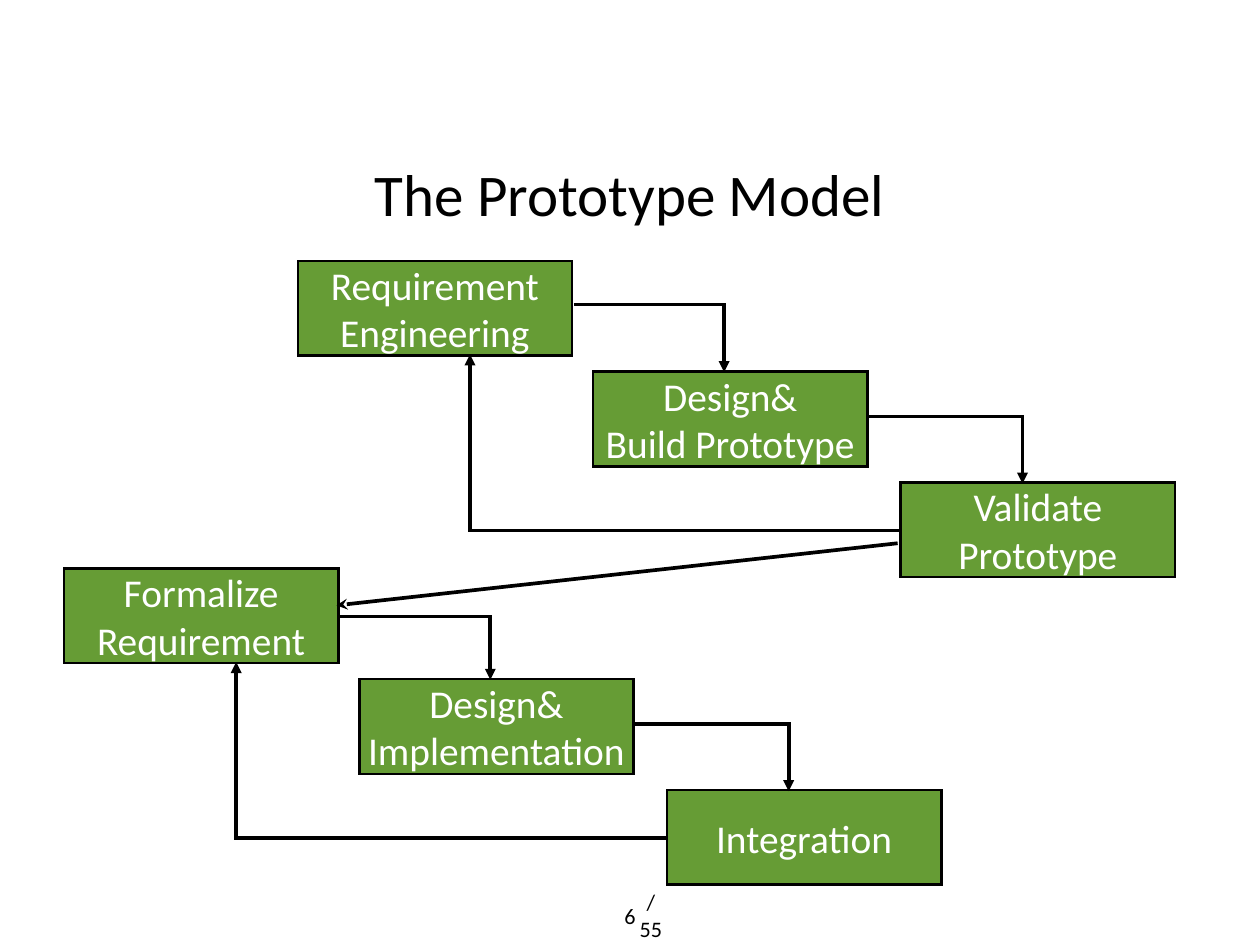
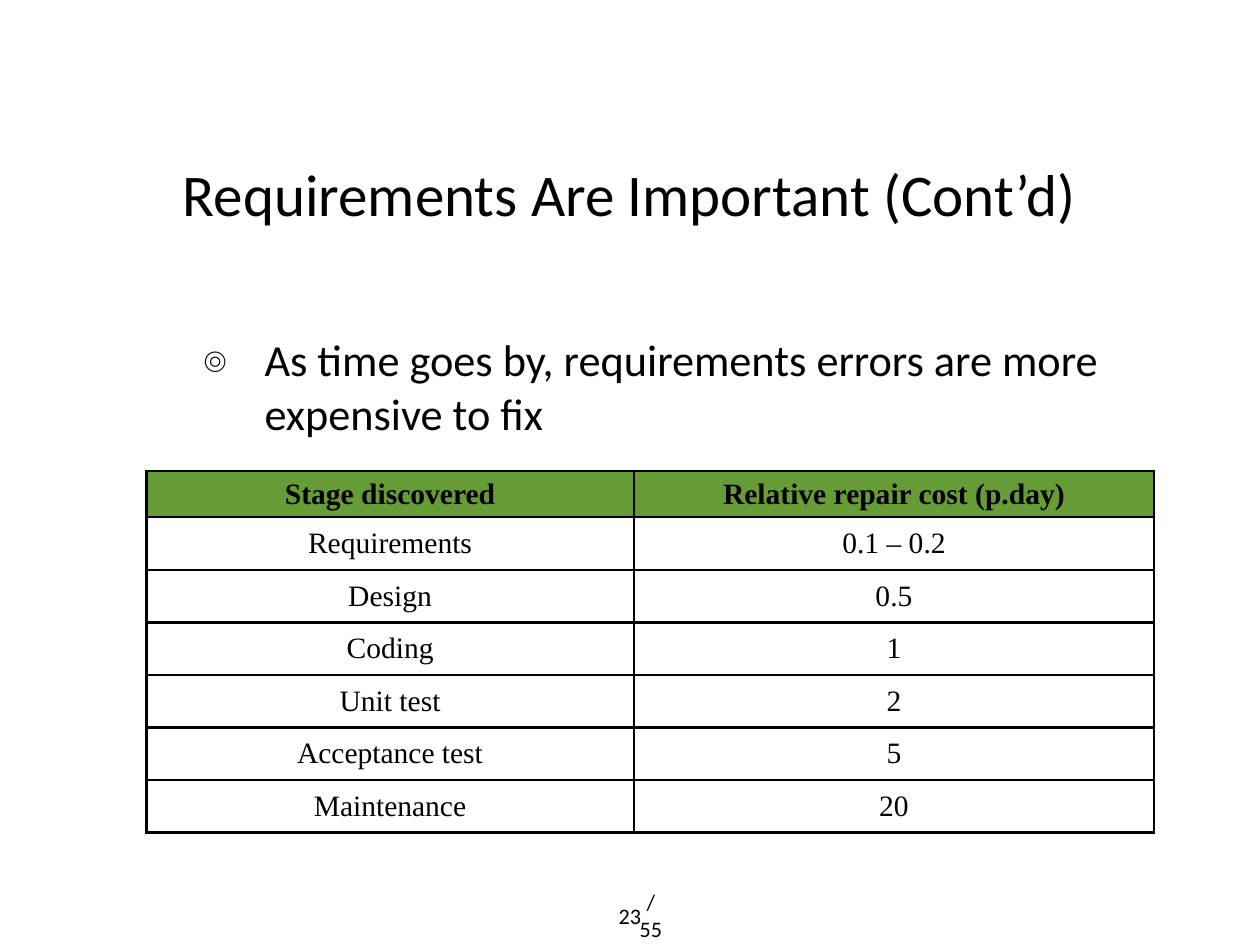
from dataclasses import dataclass

from lxml.etree import SubElement
from pptx import Presentation
from pptx.dml.color import RGBColor
from pptx.enum.shapes import MSO_CONNECTOR, MSO_SHAPE
from pptx.enum.text import MSO_ANCHOR, MSO_AUTO_SIZE, PP_ALIGN
from pptx.oxml import parse_xml
from pptx.oxml.ns import nsdecls, qn
from pptx.util import Pt

BLACK, WHITE, GREEN = "000000", "FFFFFF", "669C35"
SANS, SERIF = "Calibri", "Times New Roman"
INSET = Pt(4)
STAGE_SIZE = (223, 77)
STAGE_OFFSETS = ((0, 0), (240, 90), (490, 180))
PAGE_TOTAL = "/55"
REPAIR_COSTS = (
    ("Stage discovered", "Relative repair cost (p.day)"),
    ("Requirements", "0.1 – 0.2"),
    ("Design", "0.5"),
    ("Coding", "1"),
    ("Unit test", "2"),
    ("Acceptance test", "5"),
    ("Maintenance", "20"),
)


@dataclass(frozen=True)
class Phase:
    """Three cascading stages with the position of the first one."""

    left: float
    top: float
    exit_y: float
    stages: tuple[str, str, str]

    def routes(self) -> tuple:
        """Return the two forward routes and the route back."""
        return (
            ((224.5, self.exit_y), (346.5, self.exit_y), (346.5, 90.5)),
            ((464, 126.5), (589, 126.5), (589, 181)),
            ((491, 219), (140, 219), (140, 76)),
        )


PHASES = (
    Phase(242, 212, 35.5, ("Requirement Engineering", "Design&\nBuild Prototype", "Validate Prototype")),
    Phase(52, 462, 39, ("Formalize\nRequirement", "Design&\nImplementation", "Integration")),
)


def color(code: str) -> RGBColor:
    """Turn a hex string into a colour."""
    return RGBColor.from_string(code)


def write(frame, text: str, *, size: float, ink: str = BLACK, font: str = SANS,
          bold: bool = False, align=PP_ALIGN.CENTER, anchor=MSO_ANCHOR.MIDDLE) -> None:
    """Fill a text frame with formatted text."""
    frame.text = text
    frame.word_wrap = True
    frame.auto_size = MSO_AUTO_SIZE.NONE
    frame.vertical_anchor = anchor
    frame.margin_left = frame.margin_right = frame.margin_top = frame.margin_bottom = INSET
    for paragraph in frame.paragraphs:
        paragraph.alignment = align
        for run in paragraph.runs:
            run.font.size, run.font.name, run.font.bold = Pt(size), font, bold
            run.font.color.rgb = color(ink)


def add_label(slide, text: str, left: float, top: float, width: float, height: float, **style):
    """Add a text box and return its frame."""
    frame = slide.shapes.add_textbox(Pt(left), Pt(top), Pt(width), Pt(height)).text_frame
    write(frame, text, **style)
    return frame


def start_slide(deck, heading: str, page: str):
    """Add a slide with its title and page number."""
    slide = deck.slides.add_slide(deck.slide_layouts[5])
    title = slide.shapes.title
    title.left, title.top, title.width, title.height = Pt(100), Pt(76.5), Pt(823.5), Pt(161)
    write(title.text_frame, heading, size=48)
    add_label(slide, PAGE_TOTAL, 513, 729, 32, 29, size=18)
    add_label(slide, page, 497, 729, 30, 29, size=18, anchor=MSO_ANCHOR.TOP)
    return slide


def style_line(line, width: float, **ends: str) -> None:
    """Draw a black mitred line with optional headEnd and tailEnd arrowheads."""
    line.color.rgb = color(BLACK)
    line.width = Pt(width)
    outline = line._get_or_add_ln()
    SubElement(outline, qn("a:miter"), lim="800000")
    for end, kind in ends.items():
        SubElement(outline, qn(f"a:{end}"), type=kind)


def add_stage(slide, text: str, left: float, top: float) -> None:
    """Add one green stage box."""
    width, height = STAGE_SIZE
    stage = slide.shapes.add_shape(MSO_SHAPE.RECTANGLE, Pt(left), Pt(top), Pt(width), Pt(height))
    stage.shadow.inherit = False
    stage.fill.solid()
    stage.fill.fore_color.rgb = color(GREEN)
    style_line(stage.line, 2)
    write(stage.text_frame, text, size=32, ink=WHITE)


def add_route(slide, points: list[tuple[float, float]]) -> None:
    """Add a bent arrow through the points."""
    start, *rest = [(Pt(x), Pt(y)) for x, y in points]
    builder = slide.shapes.build_freeform(*start, scale=1.0)
    builder.add_line_segments(rest, close=False)
    route = builder.convert_to_shape()
    route.shadow.inherit = False
    route.fill.background()
    style_line(route.line, 3, tailEnd="triangle")


def add_phase(slide, phase: Phase) -> None:
    """Draw the stages and routes of one phase."""
    for text, (x, y) in zip(phase.stages, STAGE_OFFSETS):
        add_stage(slide, text, phase.left + x, phase.top + y)
    for route in phase.routes():
        add_route(slide, [(phase.left + x, phase.top + y) for x, y in route])


def add_handover(slide) -> None:
    """Link the validated prototype to the formal requirement."""
    handover = slide.shapes.add_connector(
        MSO_CONNECTOR.STRAIGHT, Pt(273.5), Pt(492), Pt(729.5), Pt(441.5))
    style_line(handover.line, 3, headEnd="stealth")
    SubElement(handover._element.spPr, qn("a:effectLst"))


def add_bullet(paragraph, symbol: str, indent: float, hanging: float) -> None:
    """Give a paragraph a hanging bullet in the text font."""
    properties = paragraph._p.get_or_add_pPr()
    properties.set("marL", str(Pt(indent)))
    properties.set("indent", str(-Pt(hanging)))
    SubElement(properties, qn("a:buSzPct"), val="88000")
    SubElement(properties, qn("a:buFont"), typeface=SANS)
    SubElement(properties, qn("a:buChar"), char=symbol)


def add_borders(cell) -> None:
    """Draw black lines on all sides of a cell."""
    properties = cell._tc.get_or_add_tcPr()
    for index, side in enumerate(("lnL", "lnR", "lnT", "lnB")):
        properties.insert(index, parse_xml(
            f'<a:{side} {nsdecls("a")} w="{Pt(2)}"><a:solidFill>'
            f'<a:srgbClr val="{BLACK}"/></a:solidFill></a:{side}>'))


def add_cost_table(slide) -> None:
    """Add the table of repair costs."""
    costs = slide.shapes.add_table(
        len(REPAIR_COSTS), 2, Pt(119), Pt(383), Pt(819), Pt(293.5)).table
    for column, width in zip(costs.columns, (396, 423)):
        column.width = Pt(width)
    for index, entries in enumerate(REPAIR_COSTS):
        header = index == 0
        costs.rows[index].height = Pt(37.5 if header else 42.7)
        for cell, entry in zip(costs.rows[index].cells, entries):
            write(cell.text_frame, entry, size=24, font=SERIF, bold=header)
            cell.vertical_anchor = MSO_ANCHOR.MIDDLE
            cell.margin_left = cell.margin_right = cell.margin_top = cell.margin_bottom = INSET
            if header:
                cell.fill.solid()
                cell.fill.fore_color.rgb = color(GREEN)
            else:
                cell.fill.background()
            add_borders(cell)


def build_prototype_slide(deck) -> None:
    """Build the prototype model diagram."""
    slide = start_slide(deck, "The Prototype Model", "6")
    for phase in PHASES:
        add_phase(slide, phase)
    add_handover(slide)


def build_cost_slide(deck) -> None:
    """Build the slide on the cost of late repairs."""
    slide = start_slide(deck, "Requirements Are Important (Cont’d)", "23")
    claim = add_label(
        slide, "As time goes by, requirements errors are more expensive to fix",
        100, 255, 823.5, 117, size=36, align=PP_ALIGN.LEFT)
    add_bullet(claim.paragraphs[0], "๏", 111, 50.5)
    add_cost_table(slide)


def main() -> None:
    """Build and save the presentation."""
    deck = Presentation()
    deck.slide_width, deck.slide_height = Pt(1024), Pt(768)
    build_prototype_slide(deck)
    build_cost_slide(deck)
    deck.save("out.pptx")


if __name__ == "__main__":
    main()
